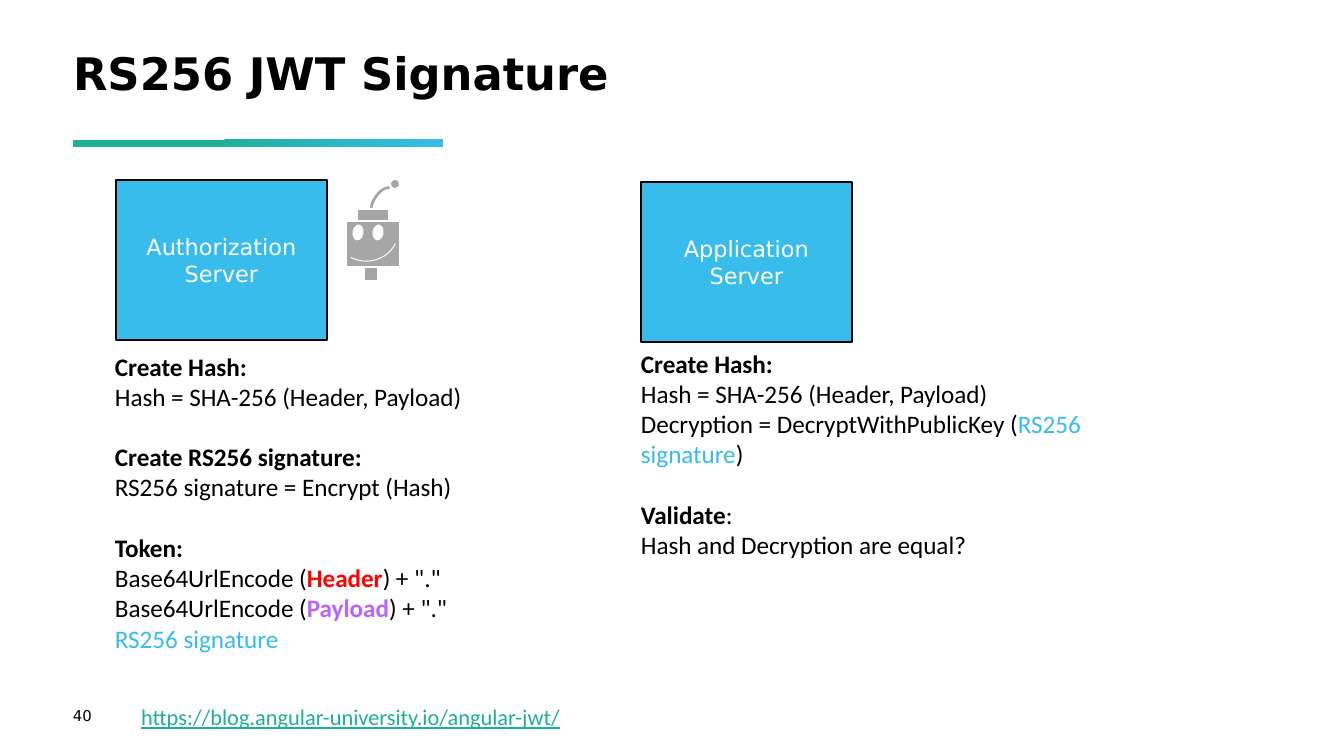
"""Build the RS256 JWT Signature slide."""
from pptx import Presentation, util as u
from pptx.dml import color
from pptx.enum import shapes as s, text as t

COLORS = {"black": "000000", "white": "FFFFFF", "blue": "37BCEC", "green": "1FAF98",
          "gray": "A6A6A6", "red": "FF0000", "purple": "B964FA"}
HEADING, BODY = "DejaVu Sans", "Calibri"
TITLE = "RS256 JWT Signature"
PAGE = [[("40", "black", False)]]
URL = "https://blog.angular-university.io/angular-jwt/"
SERVERS = [("Authorization Server", 116, 180), ("Application Server", 641, 182)]
AUTHORIZATION_STEPS = [
    [("Create Hash:", "black", True)],
    [("Hash = SHA-256 (Header, Payload)", "black", False)],
    [("Create RS256 signature:", "black", True)],
    [("RS256 signature = Encrypt (Hash)", "black", False)],
    [("Token:", "black", True)],
    [("Base64UrlEncode (", "black", False), ("Header", "red", True), (') + "."', "black", False)],
    [("Base64UrlEncode (", "black", False), ("Payload", "purple", True), (') + "."', "black", False)],
    [("RS256 signature", "blue", False)],
]
APPLICATION_STEPS = [
    [("Create Hash:", "black", True)],
    [("Hash = SHA-256 (Header, Payload)", "black", False)],
    [("Decryption = DecryptWithPublicKey (", "black", False), ("RS256 signature", "blue", False),
      (")", "black", False)],
    [("Validate", "black", True), (":", "black", False)],
    [("Hash and Decryption are equal?", "black", False)],
]
KIND = s.MSO_SHAPE
ROBOT = [
    (KIND.RECTANGLE, (346, 221, 54, 46), 0, "gray", "white", 1),
    (KIND.ARC, (333, 195, 65, 67), 117, None, "white", 0.5),
    (KIND.OVAL, (350, 227, 16, 11), 98, "white", None, 0),
    (KIND.OVAL, (370, 227, 16, 11), 98, "white", None, 0),
    (KIND.BLOCK_ARC, (364, 191, 36, 20), 305, "gray", "white", 1),
    (KIND.RECTANGLE, (357, 209, 32, 12), 0, "gray", "white", 1),
    (KIND.OVAL, (390, 179, 10, 10), 81, "gray", "white", 1),
    (KIND.RECTANGLE, (364, 267, 14, 14), 0, "gray", "white", 1),
]


def px(value):
    return round(value * 914400 / 134.4)


def rgb(name):
    return color.RGBColor.from_string(COLORS[name])


def add_run(paragraph, words, size, font, hue, bold=False):
    run = paragraph.add_run()
    run.text = words
    run.font.size, run.font.name, run.font.bold = u.Pt(size), font, bold
    run.font.color.rgb = rgb(hue)
    return run


def clear_margins(frame, anchor=t.MSO_ANCHOR.TOP):
    frame.word_wrap, frame.vertical_anchor = True, anchor
    frame.margin_left = frame.margin_right = frame.margin_top = frame.margin_bottom = 0


def add_part(slide, kind, box, turn, fill, line, width):
    part = slide.shapes.add_shape(kind, *map(px, box))
    part.rotation, part.shadow.inherit = turn, False
    if fill:
        part.fill.solid()
        part.fill.fore_color.rgb = rgb(fill)
    else:
        part.fill.background()
    if line:
        part.line.color.rgb, part.line.width = rgb(line), u.Pt(width)
    else:
        part.line.fill.background()
    return part


def add_lines(slide, box, lines, size, font, anchor=t.MSO_ANCHOR.TOP):
    frame = slide.shapes.add_textbox(*map(px, box)).text_frame
    clear_margins(frame, anchor)
    for index, line in enumerate(lines):
        paragraph = frame.paragraphs[0] if index == 0 else frame.add_paragraph()
        if index and line[0][2]:
            paragraph.space_before = u.Pt(16.2)
        for words, hue, bold in line:
            add_run(paragraph, words, size, font, hue, bold)
    return frame


def main():
    deck = Presentation()
    deck.slide_width, deck.slide_height = px(1344), px(756)
    slide = deck.slides.add_slide(deck.slide_layouts[5])

    title = slide.shapes.title
    title.left, title.top, title.width, title.height = map(px, (73, 52, 1196, 146))
    clear_margins(title.text_frame)
    heading = title.text_frame.paragraphs[0]
    heading.alignment, heading.line_spacing = t.PP_ALIGN.LEFT, 0.9
    add_run(heading, TITLE, 24, HEADING, "black", True)

    rule = add_part(slide, KIND.RECTANGLE, (73, 140, 370, 7), 0, "green", None, 0)
    rule.fill.gradient()
    rule.fill.gradient_angle = 330
    for stop, position, hue in zip(rule.fill.gradient_stops, (0.39, 1), ("green", "blue")):
        stop.position, stop.color.rgb = position, rgb(hue)

    for part in ROBOT:
        add_part(slide, *part)
    for name, left, top in SERVERS:
        server = add_part(slide, KIND.RECTANGLE, (left, top, 211, 160), 0, "blue", "black", 1)
        server.text_frame.word_wrap = True
        server.text_frame.vertical_anchor = t.MSO_ANCHOR.MIDDLE
        label = server.text_frame.paragraphs[0]
        label.alignment = t.PP_ALIGN.CENTER
        add_run(label, name, 12, HEADING, "white")

    add_lines(slide, (115, 351, 401, 336), AUTHORIZATION_STEPS, 13.5, BODY)
    add_lines(slide, (641, 348, 543, 274), APPLICATION_STEPS, 13.5, BODY)
    add_lines(slide, (73, 707, 60, 18), PAGE, 8, HEADING, t.MSO_ANCHOR.MIDDLE)
    source = add_lines(slide, (141, 703, 1034, 30), [[(URL, "green", False)]], 12, BODY)
    source.paragraphs[0].runs[0].font.underline = True
    deck.save("out.pptx")


if __name__ == "__main__":
    main()
